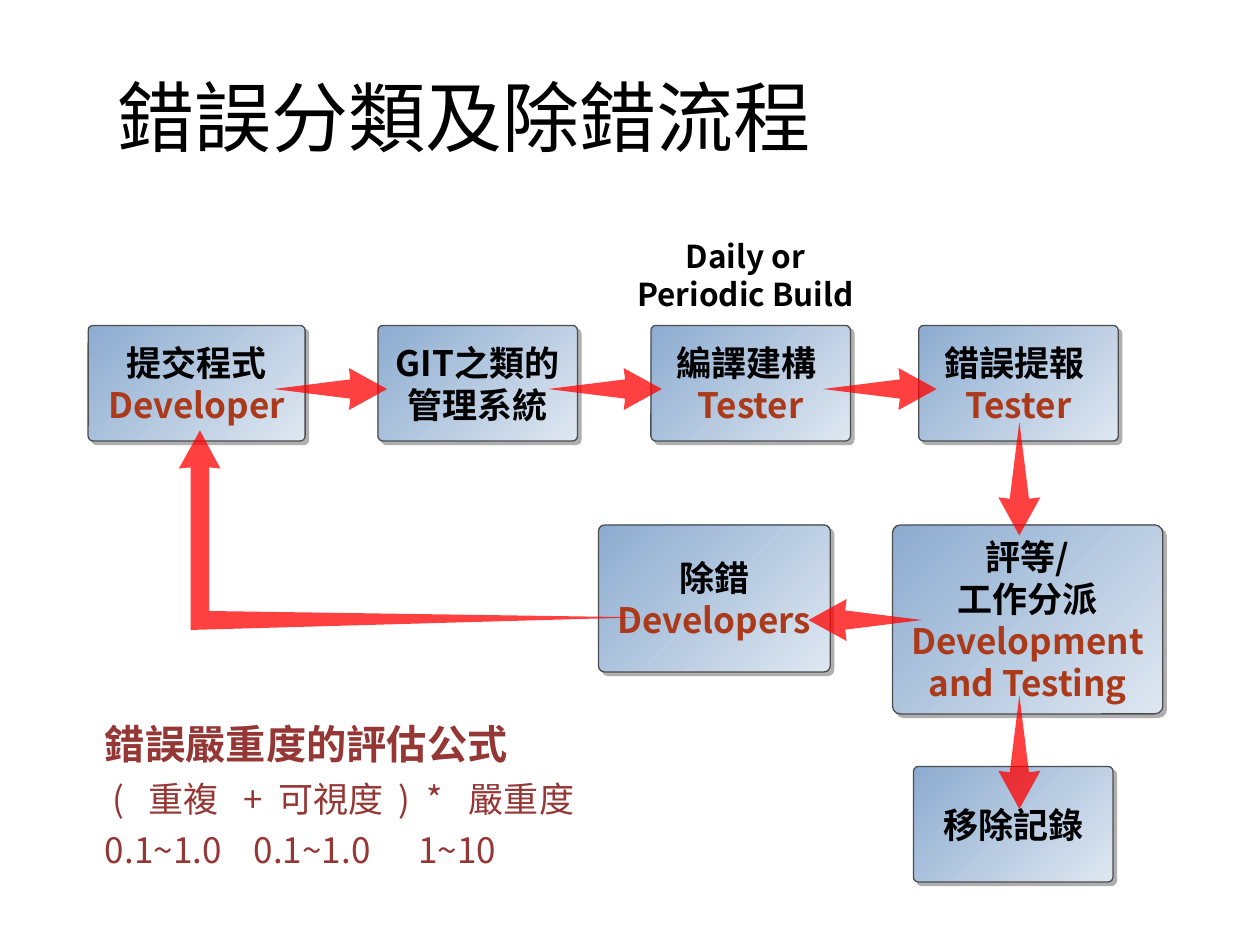
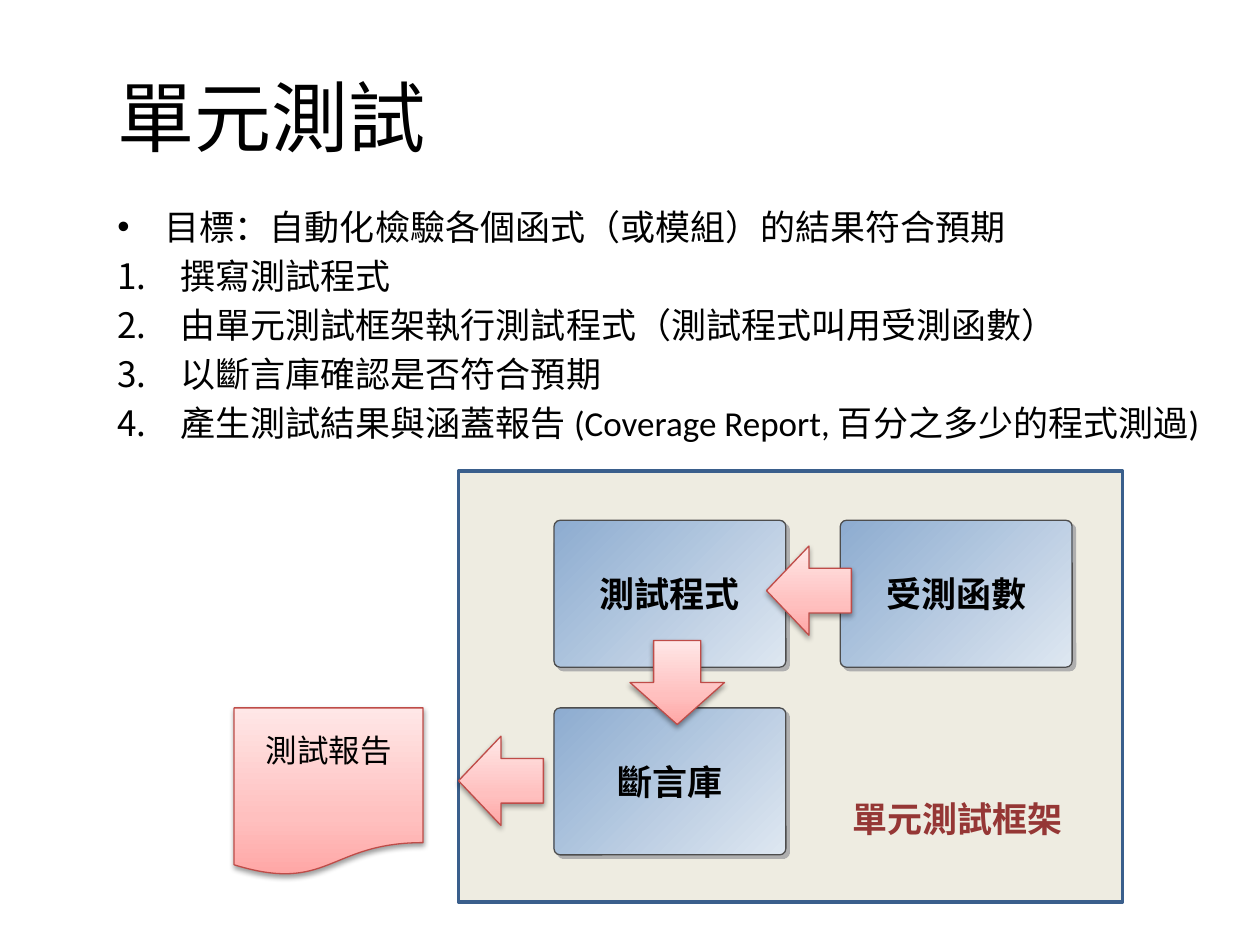
from math import cos, radians, sin

from lxml.etree import SubElement
from pptx import Presentation
from pptx.dml.color import RGBColor
from pptx.enum.shapes import MSO_SHAPE as Shape
from pptx.enum.text import MSO_ANCHOR as Anchor, PP_ALIGN as Align
from pptx.oxml import parse_xml
from pptx.oxml.ns import nsdecls, qn
from pptx.util import Pt

COLORS = {
    "text": "000000",
    "role": "AB3A1B",
    "accent": "953735",
    "flow": "FF0000",
    "frame_fill": "EEECE1",
    "frame_line": "3A5F8C",
    "box_line": "4D4D4D",
    "box_shadow": "AFAFAF",
    "pink_line": "BF4C48",
    "pink_shadow": "000000",
    "paper": "FFFFFF",
}
BLUE_STOPS = [(0, "8DACD0"), (100, "DEE7F1")]
PINK_STOPS = [(0, "FFA6A5"), (35, "FFC0BF"), (100, "FFE7E7")]
CJK_FONT = "Noto Sans CJK SC"
LATIN_FONT = "Calibri"


def rgb(name):
    return RGBColor.from_string(COLORS[name])


def format_runs(runs, size, color="text", bold=False, latin=CJK_FONT):
    for run in runs:
        font = run.font
        font.size, font.bold, font.name = Pt(size), bold, latin
        font.color.rgb = rgb(color)
        SubElement(run._r.get_or_add_rPr(), qn("a:ea"), typeface=CJK_FONT)


def add_text(slide, text, area, size, color="text", bold=False, wrap=True,
             align=Align.LEFT, anchor=Anchor.TOP):
    frame = slide.shapes.add_textbox(*map(Pt, area)).text_frame
    frame.text = text
    frame.word_wrap = wrap
    frame.vertical_anchor = anchor
    frame.paragraphs[0].alignment = align
    format_runs(frame.paragraphs[0].runs, size, color, bold)


def add_title(slide, text):
    add_text(slide, text, (60, 21, 636, 90), 44, anchor=Anchor.MIDDLE)


def add_plain_rect(slide, area, fill, line=None):
    rect = slide.shapes.add_shape(Shape.RECTANGLE, *map(Pt, area))
    rect.shadow.inherit = False
    rect.fill.solid()
    rect.fill.fore_color.rgb = rgb(fill)
    if line:
        rect.line.color.rgb = rgb(line)
        rect.line.width = Pt(2)
    else:
        rect.line.fill.background()
    return rect


def add_gradient_shape(slide, kind, area, stops, angle, line, shadow):
    """Shadow is (colour, opacity %, blur pt, distance pt, direction degrees)."""
    shape = slide.shapes.add_shape(kind, *map(Pt, area))
    properties = shape._element.spPr
    marks = "".join(f'<a:gs pos="{pos * 1000}"><a:srgbClr val="{color}"/></a:gs>'
                    for pos, color in stops)
    properties.insert(2, parse_xml(
        f'<a:gradFill {nsdecls("a")} rotWithShape="1"><a:gsLst>{marks}</a:gsLst>'
        f'<a:lin ang="{angle * 60000}" scaled="0"/></a:gradFill>'))
    shape.line.color.rgb = rgb(line)
    shape.line.width = Pt(0.75)
    shape.shadow.inherit = False
    color, opacity, blur, distance, direction = shadow
    properties.find(qn("a:effectLst")).append(parse_xml(
        f'<a:outerShdw {nsdecls("a")} blurRad="{Pt(blur)}" dist="{Pt(distance)}" '
        f'dir="{direction * 60000}" algn="ctr" rotWithShape="0">'
        f'<a:srgbClr val="{COLORS[color]}"><a:alpha val="{opacity * 1000}"/>'
        '</a:srgbClr></a:outerShdw>'))
    return shape


def add_box(slide, area, *lines):
    """Blue rounded box; each line is a (task, role) pair."""
    box = add_gradient_shape(slide, Shape.ROUNDED_RECTANGLE, area, BLUE_STOPS, 45,
                             "box_line", ("box_shadow", 100, 0, 2.8, 45))
    box.adjustments[0] = 0.042
    frame = box.text_frame
    frame.word_wrap = True
    frame.vertical_anchor = Anchor.MIDDLE
    for index, (task, role) in enumerate(lines):
        paragraph = frame.add_paragraph() if index else frame.paragraphs[0]
        paragraph.alignment = Align.CENTER
        paragraph.text = task
        format_runs(paragraph.runs, 20, bold=True)
        if role:
            role_run = paragraph.add_run()
            role_run.text = role
            format_runs([role_run], 20, "role", True)


def add_pink_shape(slide, kind, area):
    add_gradient_shape(slide, kind, area, PINK_STOPS, 270, "pink_line",
                       ("pink_shadow", 38, 3.1, 1.6, 90))


def add_red_outline(slide, points):
    start, *rest = [(Pt(x), Pt(y)) for x, y in points]
    builder = slide.shapes.build_freeform(*start)
    builder.add_line_segments(rest, close=True)
    outline = builder.convert_to_shape()
    outline.shadow.inherit = False
    outline.fill.solid()
    outline.fill.fore_color.rgb = rgb("flow")
    color = outline._element.spPr.find(qn("a:solidFill"))[0]
    SubElement(color, qn("a:alpha"), val="75000")
    outline.line.fill.background()


def add_tapered_arrow(slide, tail_x, tail_y, degrees):
    """Arrow that widens from a sharp tail; 0 degrees points right, 90 down."""
    dx, dy = cos(radians(degrees)), sin(radians(degrees))
    profile = [(0, 0), (44, -5.5), (43.2, -12), (65, 0), (43.2, 12), (44, 5.5)]
    add_red_outline(slide, [(tail_x + along * dx - across * dy,
                             tail_y + along * dy + across * dx)
                            for along, across in profile])


def add_severity_formula(slide):
    panel = add_plain_rect(slide, (60, 414, 432, 102), "paper")
    frame = panel.text_frame
    frame.word_wrap = True
    frame.vertical_anchor = Anchor.TOP
    frame.margin_left = frame.margin_right = frame.margin_top = frame.margin_bottom = 0
    rows = [
        ("錯誤嚴重度的評估公式", 23, []),
        (" (\t重複\t+\t可視度\t)\t*\t嚴重度", 20, [25, 79, 99, 168, 184, 208]),
        ("0.1~1.0\t0.1~1.0\t1~10", 20, [85, 179]),
    ]
    for index, (text, size, stops) in enumerate(rows):
        paragraph = frame.add_paragraph() if index else frame.paragraphs[0]
        if stops:
            tabs = SubElement(paragraph._p.get_or_add_pPr(), qn("a:tabLst"))
            for stop in stops:
                SubElement(tabs, qn("a:tab"), pos=str(Pt(stop)), algn="l")
        paragraph.text = text
        paragraph.alignment = Align.LEFT
        paragraph.line_spacing = 0.9
        if index:
            paragraph.space_before = Pt(8)
        format_runs(paragraph.runs, size, "accent", bold=not index)


def add_goal_and_steps(slide, goal, steps):
    frame = slide.shapes.add_textbox(*map(Pt, (60, 114, 636, 338))).text_frame
    frame.word_wrap = True
    for index, text in enumerate([goal, *steps]):
        paragraph = frame.add_paragraph() if index else frame.paragraphs[0]
        layout = paragraph._p.get_or_add_pPr()
        indent = 36 if index else 27
        layout.set("marL", str(Pt(indent)))
        layout.set("indent", str(-Pt(indent)))
        if index:
            SubElement(layout, qn("a:buFont"), typeface=CJK_FONT)
            SubElement(layout, qn("a:buAutoNum"), type="arabicPeriod")
        else:
            SubElement(layout, qn("a:buFont"), typeface="Arial")
            SubElement(layout, qn("a:buChar"), char="•")
        paragraph.text = text
        if index:
            paragraph.space_before = Pt(4)
        format_runs(paragraph.runs, 20, latin=LATIN_FONT)


def build_debug_flow(slide):
    add_text(slide, "Daily or Periodic Build", (348, 132, 156, 52), 18, bold=True,
             align=Align.CENTER)
    top_row = [
        (50.4, 124, [("提交程式", "Developer")]),
        (216, 114, [("GIT之類的管理系統", "")]),
        (372, 114, [("編譯建構 ", ""), ("", "Tester")]),
        (525, 114, [("錯誤提報 ", ""), ("", "Tester")]),
    ]
    for left, width, lines in top_row:
        add_box(slide, (left, 186, width, 66), *lines)
    add_box(slide, (342, 300, 132.5, 84), ("除錯 ", "Developers"))
    add_box(slide, (522, 438, 114, 66), ("移除記錄", ""))
    add_box(slide, (510, 300, 154.5, 108), ("評等/\v工作分派", ""),
            ("", "Development and Testing"))

    for step in range(3):
        add_tapered_arrow(slide, 156.2 + 157 * step, 222.3, 0)
    for tail_y in (241, 397.3):
        add_tapered_arrow(slide, 582.5, tail_y, 90)
    add_tapered_arrow(slide, 527, 354.3, 180)
    add_red_outline(slide, [(108.9, 267.1), (102.2, 267.8), (114.3, 246), (126, 267.8),
                            (119.5, 267.1), (119.5, 349.2), (365.8, 352.8), (108.9, 360)])
    add_severity_formula(slide)
    add_title(slide, "錯誤分類及除錯流程")


def build_unit_testing(slide):
    add_plain_rect(slide, (262, 269.2, 379.5, 246.2), "frame_fill", "frame_line")
    add_title(slide, "單元測試")
    add_goal_and_steps(slide, "目標：自動化檢驗各個函式（或模組）的結果符合預期", [
        "撰寫測試程式",
        "由單元測試框架執行測試程式（測試程式叫用受測函數）",
        "以斷言庫確認是否符合預期",
        "產生測試結果與涵蓋報告 (Coverage Report, 百分之多少的程式測過)",
    ])
    for left, top, label in [(316.6, 404.5, "斷言庫"), (316.6, 297.3, "測試程式"),
                             (480.2, 297.3, "受測函數")]:
        add_box(slide, (left, top, 132.5, 84), (label, ""))
    add_text(slide, "單元測試框架", (480.2, 452.2, 134.6, 33), 20, "accent", True, wrap=False)
    add_pink_shape(slide, Shape.LEFT_ARROW, (438, 312, 48.5, 51))
    add_pink_shape(slide, Shape.LEFT_ARROW, (262, 420.7, 48.5, 51))
    add_pink_shape(slide, Shape.DOWN_ARROW, (360, 366, 54, 48))
    add_pink_shape(slide, Shape.FLOWCHART_DOCUMENT, (133.8, 404.5, 108, 96))
    add_text(slide, "測試報告", (144.7, 414, 86.4, 30), 18, wrap=False)


def main():
    deck = Presentation()
    deck.slide_width, deck.slide_height = Pt(720), Pt(540)
    blank = deck.slide_layouts[6]
    for build in (build_debug_flow, build_unit_testing):
        build(deck.slides.add_slide(blank))
    deck.save("out.pptx")


if __name__ == "__main__":
    main()
